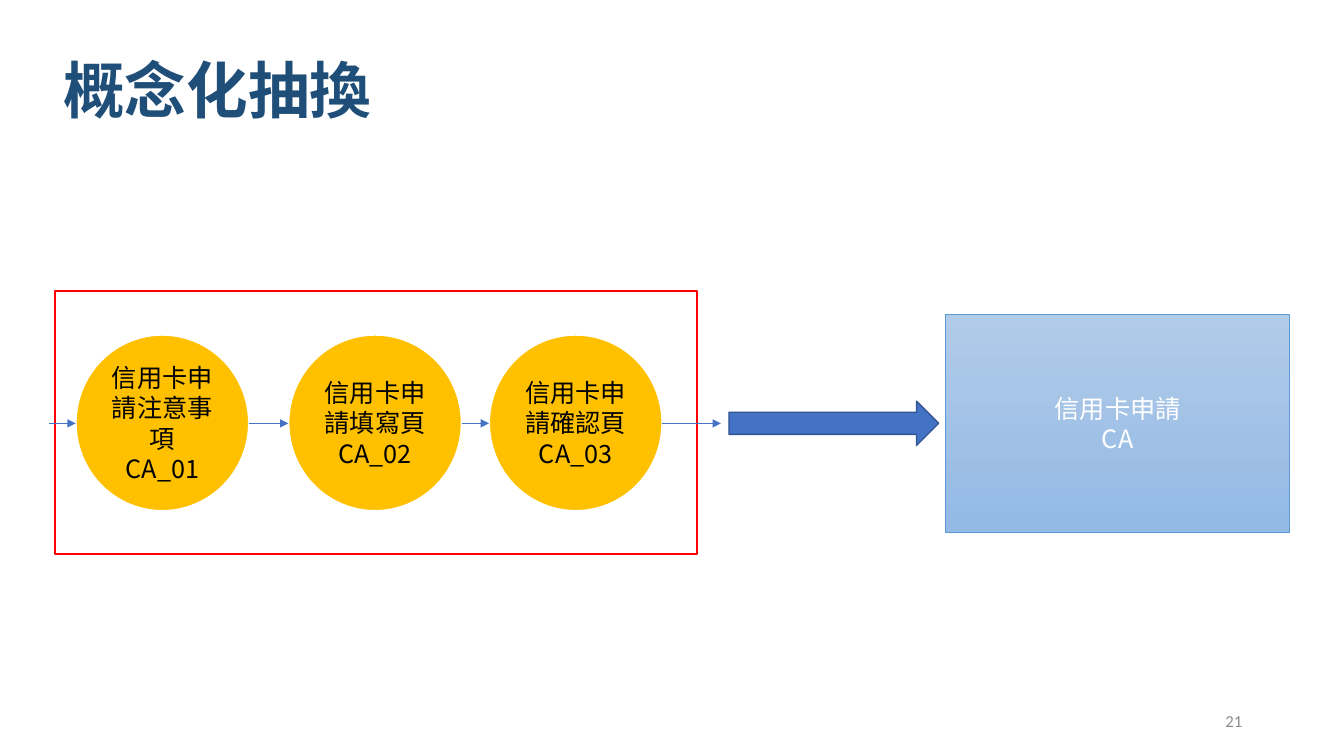
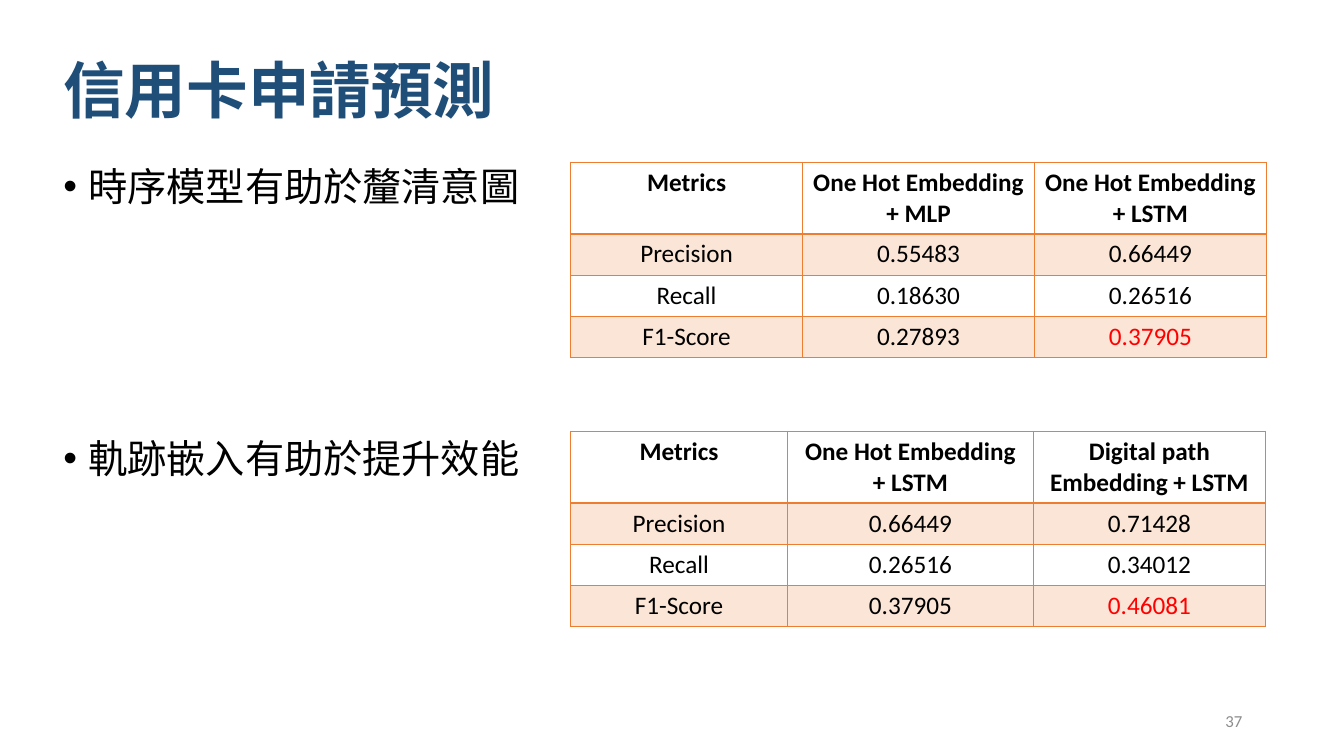
"""Build two slides about credit card application prediction."""
from lxml.etree import SubElement
from pptx import Presentation
from pptx.dml.color import RGBColor
from pptx.enum.shapes import MSO_CONNECTOR, MSO_SHAPE
from pptx.enum.text import MSO_ANCHOR, PP_ALIGN
from pptx.oxml.ns import qn
from pptx.util import Inches, Pt

HUES = {
    "title": "1F4E79", "text": "000000", "white": "FFFFFF", "page": "8C8C8C",
    "red": "FF0000", "blue": "4472C4", "edge": "325491", "gold": "FFC000",
    "sky": "5B9BD5", "light": "B1CBE9", "deep": "93B9E4",
    "rule": "ED7D31", "band": "FBE5D6",
}
CJK = "Noto Sans CJK TC"
LATIN = "Calibri"


def tint(name):
    return RGBColor.from_string(HUES[name])


def write(para, text, size=18, hue="text", font=CJK, bold=False,
          align=PP_ALIGN.LEFT, space=None, before=None):
    para.text = text
    para.alignment = align
    para.line_spacing = space
    para.space_before = before
    for run in para.runs:
        run.font.size = Pt(size)
        run.font.name = font
        run.font.bold = bold
        run.font.color.rgb = tint(hue)
        SubElement(run.font._element, qn("a:ea"), typeface=font)


def add_box(slide, area, anchor=MSO_ANCHOR.MIDDLE):
    frame = slide.shapes.add_textbox(*map(Inches, area)).text_frame
    frame.word_wrap = True
    frame.vertical_anchor = anchor
    return frame


def add_slide(deck, title, page):
    slide = deck.slides.add_slide(deck.slide_layouts[6])
    head = add_box(slide, (0.53, 0.4, 12.2, 1.05))
    write(head.paragraphs[0], title, size=44, hue="title", bold=True, space=0.9)
    foot = add_box(slide, (9.42, 6.95, 3, 0.4))
    write(foot.paragraphs[0], str(page), size=12, hue="page", font=LATIN,
          align=PP_ALIGN.RIGHT)
    return slide


def add_form(slide, kind, area, line, width, fill=None, text="", hue="text"):
    form = slide.shapes.add_shape(kind, *map(Inches, area))
    form.shadow.inherit = False
    form.line.color.rgb = tint(line)
    form.line.width = Pt(width)
    if fill:
        form.fill.solid()
        form.fill.fore_color.rgb = tint(fill)
    else:
        form.fill.background()
    form.text_frame.vertical_anchor = MSO_ANCHOR.MIDDLE
    if text:
        write(form.text_frame.paragraphs[0], text, hue=hue, align=PP_ALIGN.CENTER)
    return form


def add_arrow(slide, start, end, y):
    link = slide.shapes.add_connector(
        MSO_CONNECTOR.STRAIGHT, Inches(start), Inches(y), Inches(end), Inches(y))
    link.line.color.rgb = tint("blue")
    link.line.width = Pt(0.5)
    SubElement(link.line._get_or_add_ln(), qn("a:tailEnd"), type="triangle")
    SubElement(link._element.spPr, qn("a:effectLst"))


def add_points(slide, area, items, gap):
    frame = add_box(slide, area, MSO_ANCHOR.TOP)
    for i, text in enumerate(items):
        para = frame.add_paragraph() if i else frame.paragraphs[0]
        write(para, text, size=28, space=0.9, before=Pt(gap) if i else None)
        props = para._p.get_or_add_pPr()
        props.set("marL", str(Inches(0.25)))
        props.set("indent", str(-Inches(0.25)))
        SubElement(props, qn("a:buFont"), typeface="Arial")
        SubElement(props, qn("a:buChar"), char="•")


def set_rules(cell, widths):
    props = cell._tc.get_or_add_tcPr()
    for side, width in zip("LRTB", widths):
        rule = SubElement(props, qn("a:ln" + side), w=str(Pt(width)))
        fill = SubElement(rule, qn("a:solidFill"))
        SubElement(fill, qn("a:srgbClr"), val=HUES["rule"])


def add_grid(slide, top, widths, rows):
    heights = [0.71] + [0.41] * (len(rows) - 1)
    table = slide.shapes.add_table(
        len(rows), len(widths), Inches(5.66), Inches(top),
        Inches(sum(widths)), Inches(sum(heights))).table
    for col, width in zip(table.columns, widths):
        col.width = Inches(width)
    for r, (row, height) in enumerate(zip(rows, heights)):
        table.rows[r].height = Inches(height)
        for c, text in enumerate(row):
            cell = table.cell(r, c)
            set_rules(cell, (1, 1, 2 if r == 1 else 1, 1 if r else 2))
            cell.fill.solid()
            cell.fill.fore_color.rgb = tint("band" if r % 2 else "white")
            best = (r, c) == (len(rows) - 1, len(widths) - 1)
            write(cell.text_frame.paragraphs[0], text, font=LATIN, bold=r == 0,
                  hue="red" if best else "text", align=PP_ALIGN.CENTER)


def draw_flow(deck):
    slide = add_slide(deck, "概念化抽換", 21)
    add_form(slide, MSO_SHAPE.RECTANGLE, (0.55, 2.89, 6.36, 2.61), "red", 1.5)
    add_form(slide, MSO_SHAPE.RIGHT_ARROW, (7.23, 3.98, 2.08, 0.44),
             "edge", 1, fill="blue")
    goal = add_form(slide, MSO_SHAPE.RECTANGLE, (9.38, 3.12, 3.41, 2.16),
                    "sky", 0.5, text="信用卡申請\nCA", hue="white")
    goal.fill.gradient()
    goal.fill.gradient_angle = 270
    for stop, name in zip(goal.fill.gradient_stops, ("light", "deep")):
        stop.color.rgb = tint(name)
    wide = 1.72
    lefts = [0.75, 2.86, 4.85]
    names = ["信用卡申請注意事項", "信用卡申請填寫頁", "信用卡申請確認頁"]
    for i, (left, name) in enumerate(zip(lefts, names), 1):
        add_form(slide, MSO_SHAPE.OVAL, (left, 3.32, wide, 1.75), "white", 1.5,
                 fill="gold", text=f"{name}\nCA_{i:02}")
    starts = [0.49] + [left + wide for left in lefts]
    for start, end in zip(starts, lefts + [7.15]):
        add_arrow(slide, start, end, 4.2)


def draw_scores(deck):
    slide = add_slide(deck, "信用卡申請預測", 37)
    add_points(slide, (0.53, 1.61, 4.93, 5.15),
               ["時序模型有助於釐清意圖", "軌跡嵌入有助於提升效能"], gap=164)
    add_grid(slide, 1.61, [2.3, 2.3, 2.3], [
        ("Metrics", "One Hot Embedding + MLP", "One Hot Embedding + LSTM"),
        ("Precision", "0.55483", "0.66449"),
        ("Recall", "0.18630", "0.26516"),
        ("F1-Score", "0.27893", "0.37905")])
    add_grid(slide, 4.28, [2.15, 2.44, 2.3], [
        ("Metrics", "One Hot Embedding + LSTM", "Digital path Embedding + LSTM"),
        ("Precision", "0.66449", "0.71428"),
        ("Recall", "0.26516", "0.34012"),
        ("F1-Score", "0.37905", "0.46081")])


def main():
    deck = Presentation()
    deck.slide_width = Inches(13.33)
    deck.slide_height = Inches(7.5)
    draw_flow(deck)
    draw_scores(deck)
    deck.save("out.pptx")


if __name__ == "__main__":
    main()
